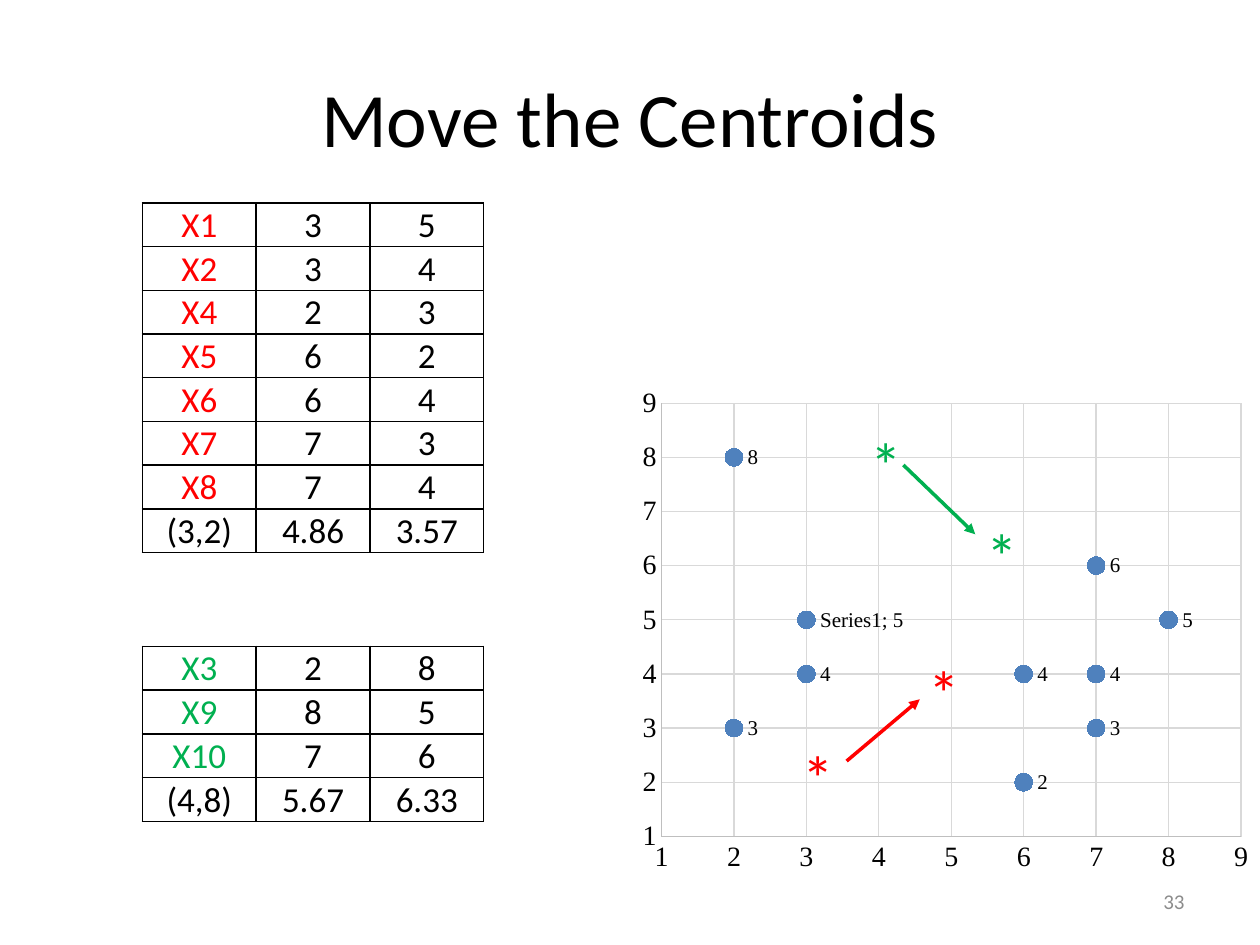
from dataclasses import dataclass

from lxml.etree import SubElement
from pptx import Presentation
from pptx.chart.data import XyChartData
from pptx.dml.color import RGBColor
from pptx.enum.chart import XL_CHART_TYPE as ChartType
from pptx.enum.chart import XL_LABEL_POSITION as LabelPosition
from pptx.enum.chart import XL_MARKER_STYLE as MarkerStyle
from pptx.enum.chart import XL_TICK_MARK as TickMark
from pptx.enum.shapes import MSO_CONNECTOR as Connector
from pptx.enum.text import MSO_ANCHOR as Anchor
from pptx.enum.text import MSO_AUTO_SIZE as AutoSize
from pptx.enum.text import PP_ALIGN as Align
from pptx.oxml.ns import qn
from pptx.util import Pt


@dataclass(frozen=True)
class Theme:
    body_font: str = "Calibri"
    chart_font: str = "Times New Roman"
    black: str = "000000"
    red: str = "FF0000"
    green: str = "00B050"
    blue: str = "4F81BD"
    gray: str = "8C8C8C"
    axis: str = "BFBFBF"
    grid: str = "D9D9D9"
    title_size: int = 44
    star_size: int = 36
    table_size: int = 20
    axis_size: int = 16
    small_size: int = 12


THEME = Theme()
RED_CLUSTER = [("X1", 3, 5), ("X2", 3, 4), ("X4", 2, 3), ("X5", 6, 2),
               ("X6", 6, 4), ("X7", 7, 3), ("X8", 7, 4)]
GREEN_CLUSTER = [("X3", 2, 8), ("X9", 8, 5), ("X10", 7, 6)]
RED_MEAN = ("(3,2)", "4.86", "3.57")
GREEN_MEAN = ("(4,8)", "5.67", "6.33")


def style_font(font, size, color, name=THEME.body_font):
    font.size = Pt(size)
    font.name = name
    font.color.rgb = RGBColor.from_string(color)


def style_line(line, color, width):
    line.color.rgb = RGBColor.from_string(color)
    line.width = Pt(width)


def place(shape, left, top, width, height):
    shape.left, shape.top = Pt(left), Pt(top)
    shape.width, shape.height = Pt(width), Pt(height)


def write(frame, text, size, color, align):
    frame.text = text
    paragraph = frame.paragraphs[0]
    paragraph.alignment = align
    style_font(paragraph.font, size, color)


def add_title(slide, text):
    title = slide.shapes.title
    place(title, 36, 21.6, 648, 90)
    title.text_frame.vertical_anchor = Anchor.MIDDLE
    write(title.text_frame, text, THEME.title_size, THEME.black, Align.CENTER)


def add_page_number(slide, number):
    box = slide.shapes.add_textbox(Pt(516), Pt(500.5), Pt(168), Pt(28.75))
    box.text_frame.word_wrap = True
    box.text_frame.vertical_anchor = Anchor.MIDDLE
    write(box.text_frame, number, THEME.small_size, THEME.gray, Align.RIGHT)


def add_star(slide, left, top, color):
    box = slide.shapes.add_textbox(Pt(left), Pt(top), Pt(34), Pt(51))
    box.text_frame.word_wrap = False
    box.text_frame.auto_size = AutoSize.SHAPE_TO_FIT_TEXT
    write(box.text_frame, "*", THEME.star_size, color, Align.LEFT)


def add_arrow(slide, start, end, color):
    arrow = slide.shapes.add_connector(
        Connector.STRAIGHT, *(Pt(value) for value in start + end))
    style_line(arrow.line, color, 2)
    SubElement(arrow.line._get_or_add_ln(), qn("a:tailEnd"), type="triangle")
    SubElement(arrow._element.spPr, qn("a:effectLst"))


def border_cell(cell):
    properties = cell._tc.get_or_add_tcPr()
    for index, side in enumerate(("lnL", "lnR", "lnT", "lnB")):
        border = SubElement(properties, qn(f"a:{side}"), w=str(Pt(1)))
        fill = SubElement(border, qn("a:solidFill"))
        SubElement(fill, qn("a:srgbClr"), val=THEME.black)
        properties.insert(index, border)


def add_cluster_table(slide, top, members, mean, color):
    rows = members + [mean]
    column_width, row_height = 65, 25
    table = slide.shapes.add_table(
        len(rows), 3, Pt(81.4), Pt(top),
        Pt(3 * column_width), Pt(len(rows) * row_height)).table
    table.first_row = table.horz_banding = False
    for column in table.columns:
        column.width = Pt(column_width)
    for r, values in enumerate(rows):
        table.rows[r].height = Pt(row_height)
        for c, value in enumerate(values):
            cell = table.cell(r, c)
            cell.margin_left = cell.margin_right = cell.margin_top = Pt(0.7)
            cell.margin_bottom = 0
            cell.vertical_anchor = Anchor.BOTTOM
            is_member_name = c == 0 and r < len(members)
            write(cell.text_frame, str(value), THEME.table_size,
                  color if is_member_name else THEME.black, Align.CENTER)
            cell.fill.background()
            border_cell(cell)


def style_axis(axis):
    axis.minimum_scale, axis.maximum_scale = 1, 9
    axis.major_unit = 1
    axis.major_tick_mark = axis.minor_tick_mark = TickMark.NONE
    axis.has_major_gridlines = True
    style_line(axis.major_gridlines.format.line, THEME.grid, 0.75)
    style_line(axis.format.line, THEME.axis, 0.75)
    style_font(axis.tick_labels.font, THEME.axis_size, THEME.black,
               THEME.chart_font)


def set_plot_layout(chart, x, y, w, h):
    plot_area = chart._chartSpace.chart.plotArea
    for old_layout in plot_area.findall(qn("c:layout")):
        plot_area.remove(old_layout)
    layout = SubElement(plot_area, qn("c:layout"))
    plot_area.insert(0, layout)
    manual = SubElement(layout, qn("c:manualLayout"))
    settings = dict(layoutTarget="inner", xMode="edge", yMode="edge",
                    x=x, y=y, w=w, h=h)
    for tag, value in settings.items():
        SubElement(manual, qn(f"c:{tag}"), val=str(value))


def label_points(series, count):
    for index in range(count):
        label = series.points[index].data_label
        style_font(label.font, THEME.small_size, THEME.black,
                   THEME.chart_font)
        label.position = LabelPosition.RIGHT
    first_label = next(series._element.iter(qn("c:dLbl")))
    first_label.find(qn("c:showSerName")).set("val", "1")
    SubElement(first_label, qn("c:separator")).text = "; "


def add_scatter(slide, members):
    points = sorted(members, key=lambda member: int(member[0][1:]))
    data = XyChartData()
    observations = data.add_series("Series1")
    for _, x, y in points:
        observations.add_data_point(x, y)
    chart = slide.shapes.add_chart(
        ChartType.XY_SCATTER, Pt(360), Pt(216), Pt(360), Pt(288), data).chart
    chart.has_legend = chart.has_title = False
    style_font(chart.font, THEME.axis_size, THEME.black, THEME.chart_font)
    for axis in (chart.category_axis, chart.value_axis):
        style_axis(axis)
    set_plot_layout(chart, 0.05, 0.05, 0.92, 0.86)
    plot = chart.plots[0]
    plot.vary_by_categories = False
    series = plot.series[0]
    series.format.line.fill.background()
    series.marker.style = MarkerStyle.CIRCLE
    series.marker.size = 10
    series.marker.format.fill.solid()
    series.marker.format.fill.fore_color.rgb = RGBColor.from_string(THEME.blue)
    style_line(series.marker.format.line, THEME.blue, 0.75)
    label_points(series, len(points))


def main():
    deck = Presentation()
    deck.slide_width, deck.slide_height = Pt(720), Pt(540)
    slide = deck.slides.add_slide(deck.slide_layouts[5])
    add_title(slide, "Move the Centroids")
    add_page_number(slide, "33")
    add_scatter(slide, RED_CLUSTER + GREEN_CLUSTER)
    add_cluster_table(slide, 115.9, RED_CLUSTER, RED_MEAN, THEME.red)
    add_cluster_table(slide, 369.4, GREEN_CLUSTER, GREEN_MEAN, THEME.green)
    for left, top, color in ((451.4, 418.3, THEME.red),
                             (490.3, 239.8, THEME.green),
                             (556.6, 291.6, THEME.green),
                             (523.4, 370.1, THEME.red)):
        add_star(slide, left, top, color)
    add_arrow(slide, (516.2, 265.7), (557.3, 305.3), THEME.green)
    add_arrow(slide, (483.8, 434.9), (525.6, 399.6), THEME.red)
    deck.save("out.pptx")


if __name__ == "__main__":
    main()
